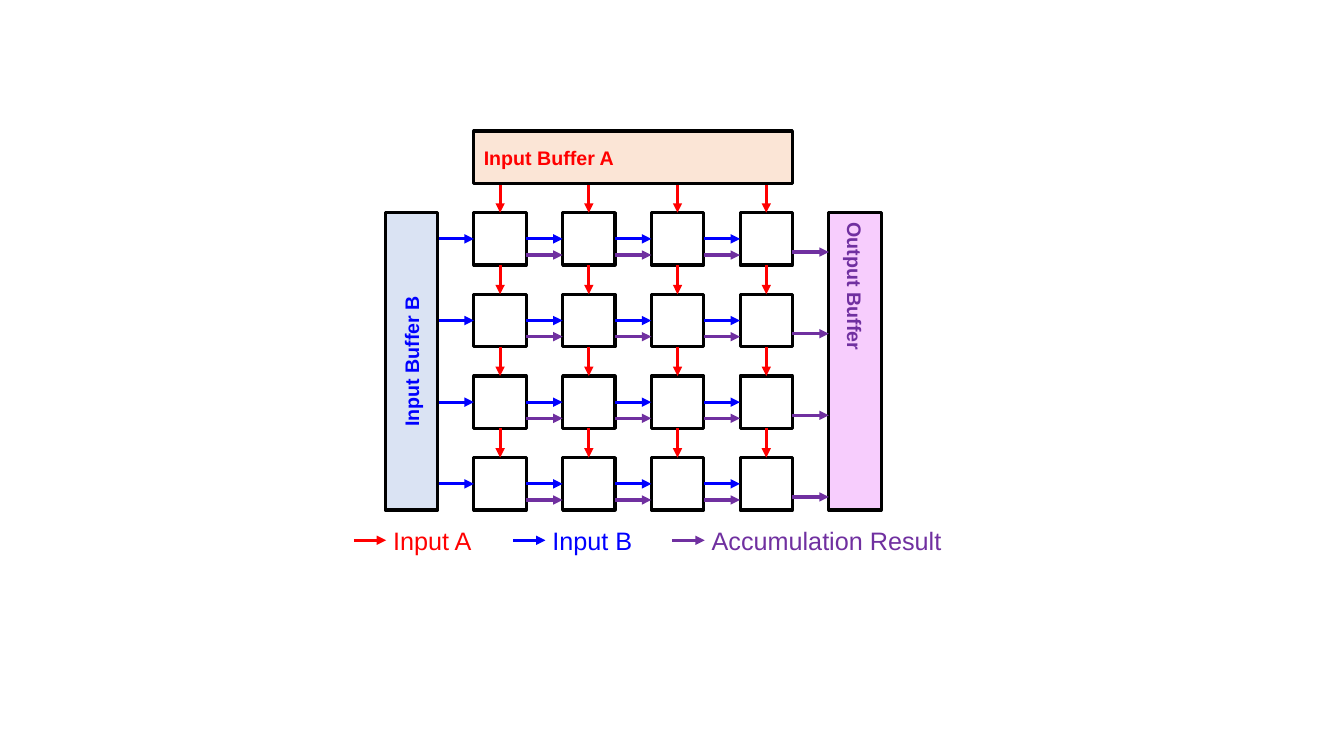
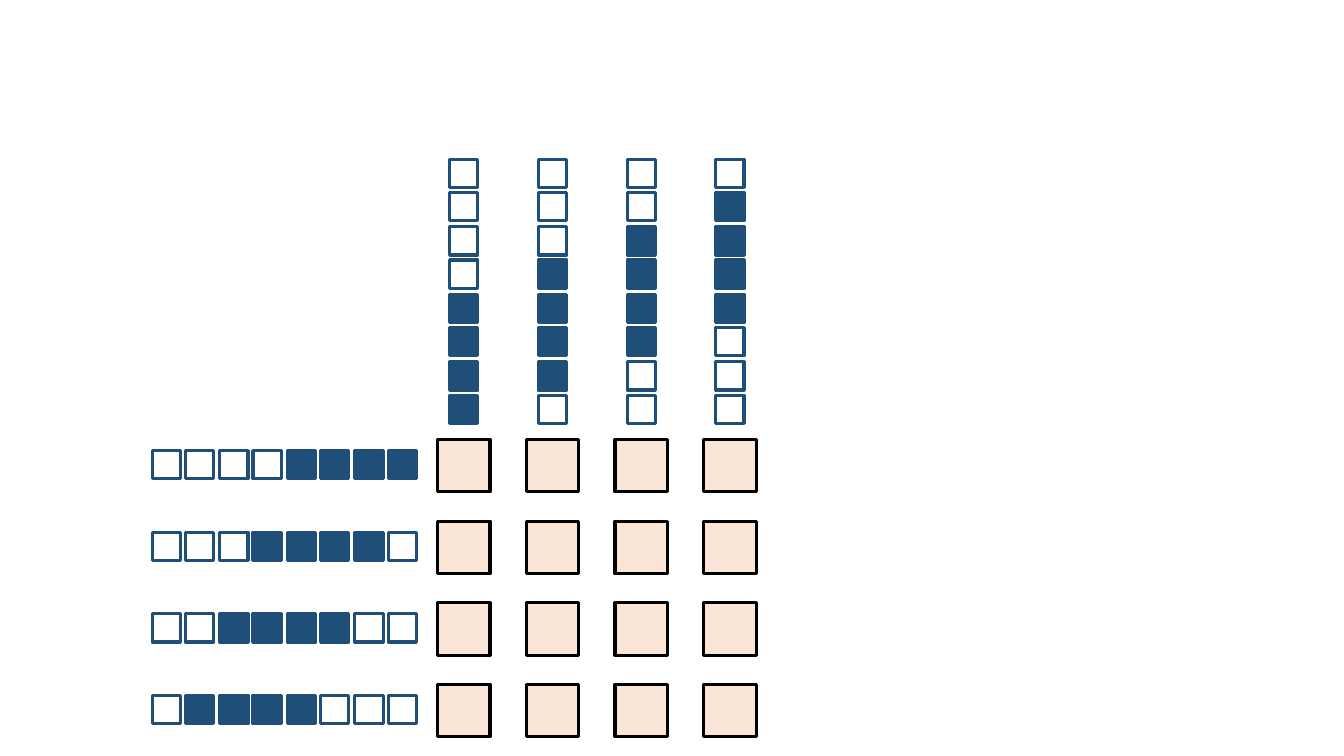
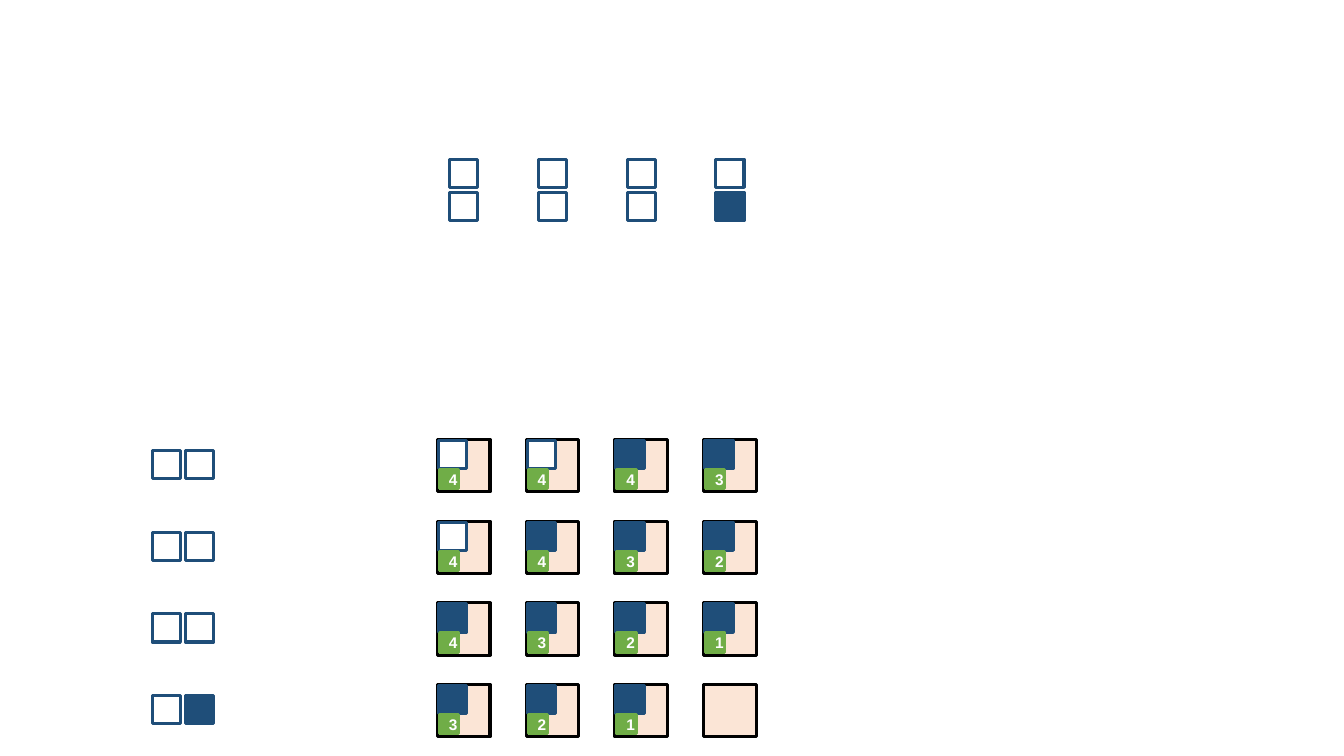
from itertools import product

from lxml.etree import SubElement
from pptx import Presentation
from pptx.dml.color import RGBColor
from pptx.enum.shapes import MSO_CONNECTOR as CONN, MSO_SHAPE as SHAPE
from pptx.enum.text import MSO_ANCHOR as ANCHOR, PP_ALIGN as ALIGN
from pptx.oxml.ns import qn
from pptx.util import Emu, Pt

PX = 9144  # EMU per px: 100 px to the inch
N = 4  # rows and columns of the processing array
CELL, PITCH_X, PITCH_Y = 52, 88, 81
ITEM = 28
SPAN_X = (N - 1) * PITCH_X + CELL
SPAN_Y = (N - 1) * PITCH_Y + CELL
LINE_WIDTH = 2.25
COLORS = {
    "white": "FFFFFF", "black": "000000",
    "red": "FF0000", "blue": "0000FF", "purple": "7030A0",
    "peach": "FBE5D6", "sky": "DAE3F3", "pink": "F7CDFD",
    "navy": "1F4E79", "green": "70AD47",
}
LABEL = {"size": Pt(14), "bold": True}
LEGEND = {"size": Pt(18), "bold": False}
BADGE = {"size": Pt(11), "bold": True}


def px(n):
    return Emu(n * PX)


def rgb(name):
    return RGBColor.from_string(COLORS[name])


def write(sp, text, color, style, align):
    p = sp.text_frame.paragraphs[0]
    p.alignment = align
    r = p.add_run()
    r.text = text
    for name, value in {"name": "Arial", **style}.items():
        setattr(r.font, name, value)
    r.font.color.rgb = rgb(color)


def box(s, x, y, w, h, fill, line="black"):
    sp = s.shapes.add_shape(SHAPE.RECTANGLE, *map(px, (x, y, w, h)))
    sp.shadow.inherit = False
    if fill:
        sp.fill.solid()
        sp.fill.fore_color.rgb = rgb(fill)
    else:
        sp.fill.background()
    sp.line.color.rgb = rgb(line)
    sp.line.width = Pt(LINE_WIDTH)
    return sp


def buffer(s, x, y, w, h, fill, text, color, align=ALIGN.CENTER, vert="horz"):
    """A long box with a label running in the direction vert."""
    sp = box(s, x, y, w, h, fill)
    sp.text_frame.vertical_anchor = ANCHOR.MIDDLE
    sp.text_frame._txBody.bodyPr.set("vert", vert)
    write(sp, text, color, LABEL, align)


def arrow(s, x1, y1, x2, y2, color):
    cn = s.shapes.add_connector(CONN.STRAIGHT, *map(px, (x1, y1, x2, y2)))
    cn.line.color.rgb = rgb(color)
    cn.line.width = Pt(LINE_WIDTH)
    SubElement(cn.line._get_or_add_ln(), qn("a:tailEnd"), type="triangle")
    SubElement(cn._element.spPr, qn("a:effectLst"))


def legend_entry(s, x, y, text, color, width):
    arrow(s, x, y, x + 32, y, color)
    sp = s.shapes.add_textbox(*map(px, (x + 29, y - 20, width, 40)))
    sp.text_frame.word_wrap = False
    write(sp, text, color, LEGEND, ALIGN.LEFT)


def cell_at(origin, row, col):
    return origin[0] + col * PITCH_X, origin[1] + row * PITCH_Y


def cells(s, origin, fill):
    for row, col in product(range(N), repeat=2):
        box(s, *cell_at(origin, row, col), CELL, CELL, fill)


def queues(s, origin, length):
    """Draw the first items of the inputs above and left of the array."""
    for lane, k in product(range(N), range(length)):
        fill = "navy" if N - lane <= k < 2 * N - lane else None
        shift = k * 67 // 2
        x, y = cell_at(origin, lane, lane)
        box(s, x + 12, 158 + shift, ITEM, ITEM, fill, "navy")
        box(s, 151 + shift, y + 11, ITEM, ITEM, fill, "navy")


def architecture_slide(s):
    origin = 470, 211
    cells(s, origin, "white")
    for step, lane in product(range(-1, N - 1), range(N)):
        x, y = cell_at(origin, step, lane)
        mid = x + CELL // 2
        arrow(s, mid, y + CELL, mid, y + PITCH_Y, "red")
        x, y = cell_at(origin, lane, step)
        mid = y + CELL // 2
        arrow(s, x + CELL, mid, x + PITCH_X, mid, "blue")

    left, top = cell_at(origin, -1, -1)
    right, _ = cell_at(origin, 0, N)
    buffer(s, left, origin[1], CELL, SPAN_Y, "sky", "Input Buffer B", "blue",
           vert="vert270")
    buffer(s, origin[0], top, SPAN_X, CELL, "peach", "Input Buffer A", "red",
           align=ALIGN.LEFT)
    buffer(s, right, origin[1], CELL, SPAN_Y, "pink", "Output Buffer", "purple",
           vert="eaVert")

    for row, col in product(range(N), repeat=2):
        x, y = cell_at(origin, row, col)
        y += 39 if col == N - 1 else 42
        arrow(s, x + CELL, y, x + PITCH_X, y, "purple")

    entries = [("Input A", "red", 100), ("Input B", "blue", 100),
               ("Accumulation Result", "purple", 251)]
    for i, entry in enumerate(entries):
        legend_entry(s, 351 + i * 158, 536, *entry)


def start_slide(s):
    origin = 434, 436
    cells(s, origin, "peach")
    queues(s, origin, 2 * N)


def progress_slide(s):
    origin = 434, 436
    cells(s, origin, "peach")
    for row, col in product(range(N), repeat=2):
        delay = row + col
        count = min(N, 2 * N - 2 - delay)
        if count == 0:
            continue
        x, y = cell_at(origin, row, col)
        box(s, x + 1, y + 1, ITEM, ITEM, "white" if delay < 2 else "navy", "navy")
        badge = box(s, x + 2, y + 30, 19, 19, "green", "green")
        badge.text_frame.vertical_anchor = ANCHOR.MIDDLE
        write(badge, str(count), "white", BADGE, ALIGN.CENTER)
    queues(s, origin, 2)


def main():
    prs = Presentation()
    prs.slide_width, prs.slide_height = px(1333), px(750)
    blank = prs.slide_layouts[6]
    for draw in (architecture_slide, start_slide, progress_slide):
        draw(prs.slides.add_slide(blank))
    prs.save("out.pptx")


if __name__ == "__main__":
    main()
